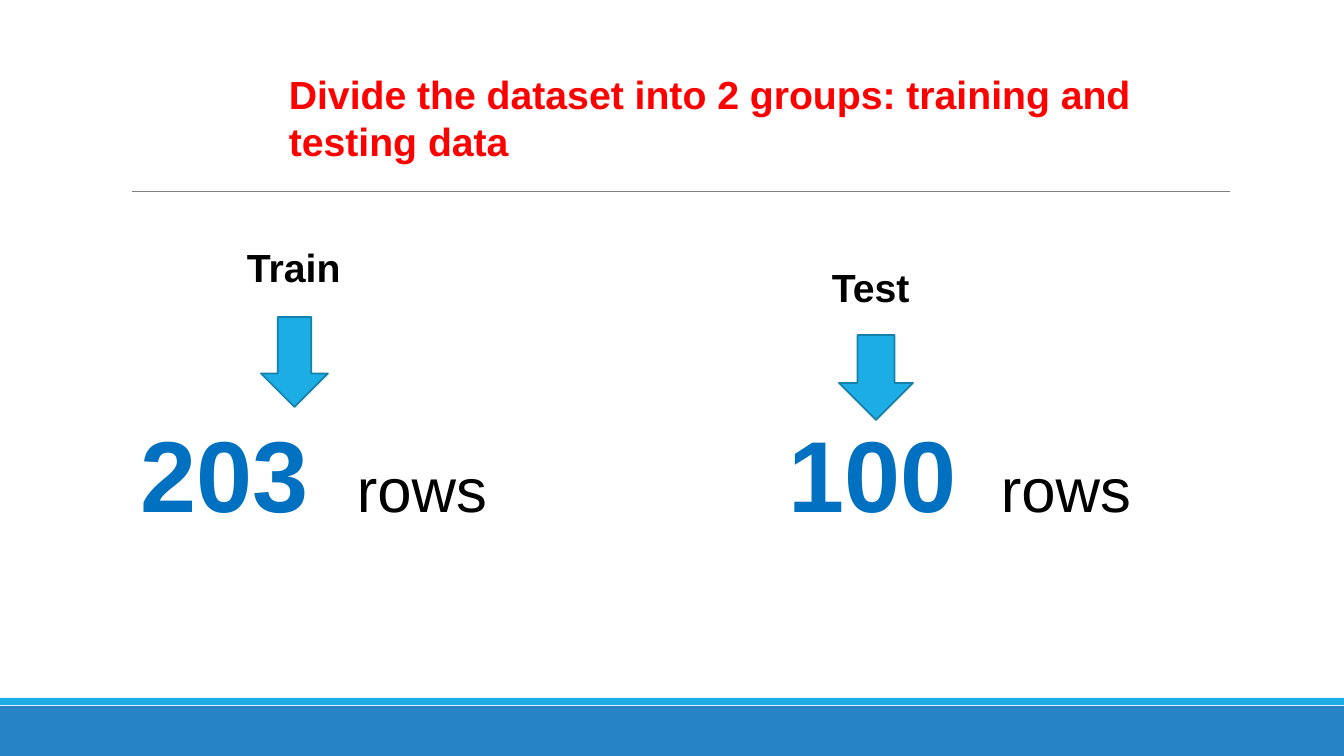
from dataclasses import dataclass

from lxml import etree
from pptx import Presentation
from pptx.dml.color import RGBColor
from pptx.enum.shapes import MSO_CONNECTOR, MSO_SHAPE
from pptx.oxml.ns import qn
from pptx.util import Pt

RECT = MSO_SHAPE.RECTANGLE
ARROW = MSO_SHAPE.DOWN_ARROW
LINE = MSO_CONNECTOR.STRAIGHT
WIDTH, HEIGHT = 1344, 756


@dataclass(frozen=True)
class Theme:
    face: str = "Arial"
    red: str = "FF0000"
    black: str = "000000"
    blue: str = "0070C0"
    band: str = "2683C6"
    sky: str = "1CADE4"
    edge: str = "1580A9"
    gray: str = "808080"
    head: int = 28
    count: int = 72
    unit: int = 44


def px(n):
    return round(n * 914400 / 100.8)


class Page:
    def __init__(self, deck, theme):
        self.theme = theme
        self.slide = deck.slides.add_slide(deck.slide_layouts[6])
        self.shapes = self.slide.shapes

    def shape(self, kind, box, fill, edge=None):
        item = self.shapes.add_shape(kind, *map(px, box))
        item.shadow.inherit = False
        item.fill.solid()
        item.fill.fore_color.rgb = RGBColor.from_string(fill)
        if edge:
            item.line.color.rgb = RGBColor.from_string(edge)
            item.line.width = Pt(1.25)
        else:
            item.line.fill.background()

    def rule(self, left, right, y):
        item = self.shapes.add_connector(LINE, px(left), px(y), px(right), px(y))
        item.line.color.rgb = RGBColor.from_string(self.theme.gray)
        item.line.width = Pt(0.5)
        etree.SubElement(item.element.spPr, qn("a:effectLst"))

    def text(self, box, runs, tab=None):
        """Each run is (words, size, colour, bold)."""
        frame = self.shapes.add_textbox(*map(px, box)).text_frame
        frame.word_wrap = True
        para = frame.paragraphs[0]
        if tab:
            stops = etree.SubElement(para._p.get_or_add_pPr(), qn("a:tabLst"))
            etree.SubElement(stops, qn("a:tab"), pos=str(px(tab)), algn="l")
        for words, size, color, bold in runs:
            run = para.add_run()
            run.text = words
            style = {"name": self.theme.face, "size": Pt(size), "bold": bold}
            for key, value in style.items():
                setattr(run.font, key, value)
            run.font.color.rgb = RGBColor.from_string(color)

    def group(self, label, spot, arrow, count, left, tab):
        t = self.theme
        self.text((*spot, 460, 57), [(label, t.head, t.black, True)])
        self.text((left, 407, 404, 132),
                  [(count, t.count, t.blue, True),
                   ("\trows", t.unit, t.black, False)], tab)
        self.shape(ARROW, arrow, t.sky, t.edge)


def main():
    deck = Presentation()
    deck.slide_width, deck.slide_height = px(WIDTH), px(HEIGHT)
    theme = Theme()
    page = Page(deck, theme)

    # Footer bands and title rule
    page.shape(RECT, (0, 706, WIDTH, 50), theme.band)
    page.shape(RECT, (0, 698, WIDTH, 7), theme.sky)
    page.rule(132, 1230, 191)

    # Title
    page.text((279, 65, 958, 105),
              [("Divide the dataset into 2 groups: training and testing data",
                theme.head, theme.red, True)])

    # Training and testing groups
    page.group("Train", (237, 238), (261, 317, 67, 90), "203", 131, 216)
    page.group("Test", (822, 258), (839, 335, 74, 85), "100", 779, 212)

    deck.save("out.pptx")


if __name__ == "__main__":
    main()
